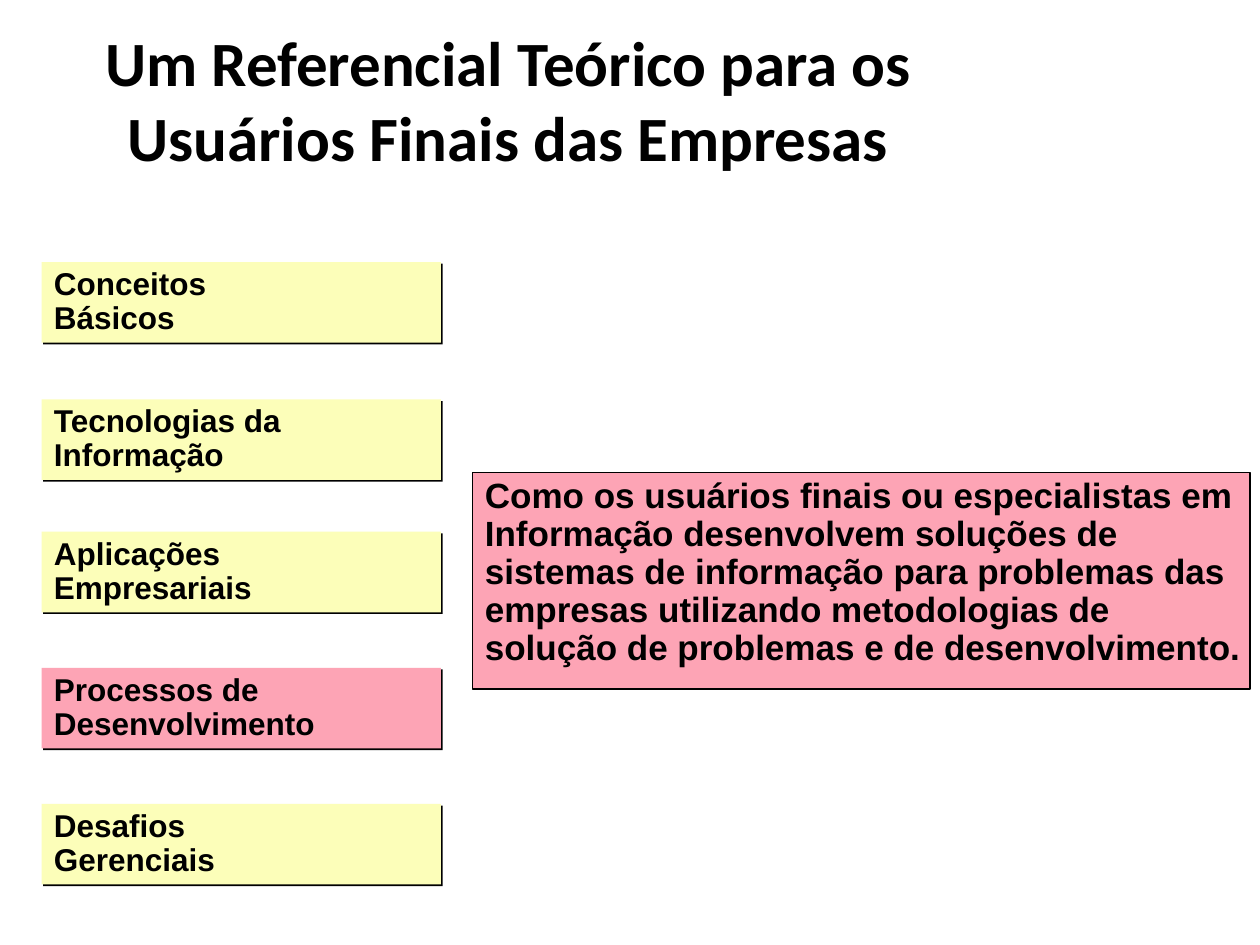
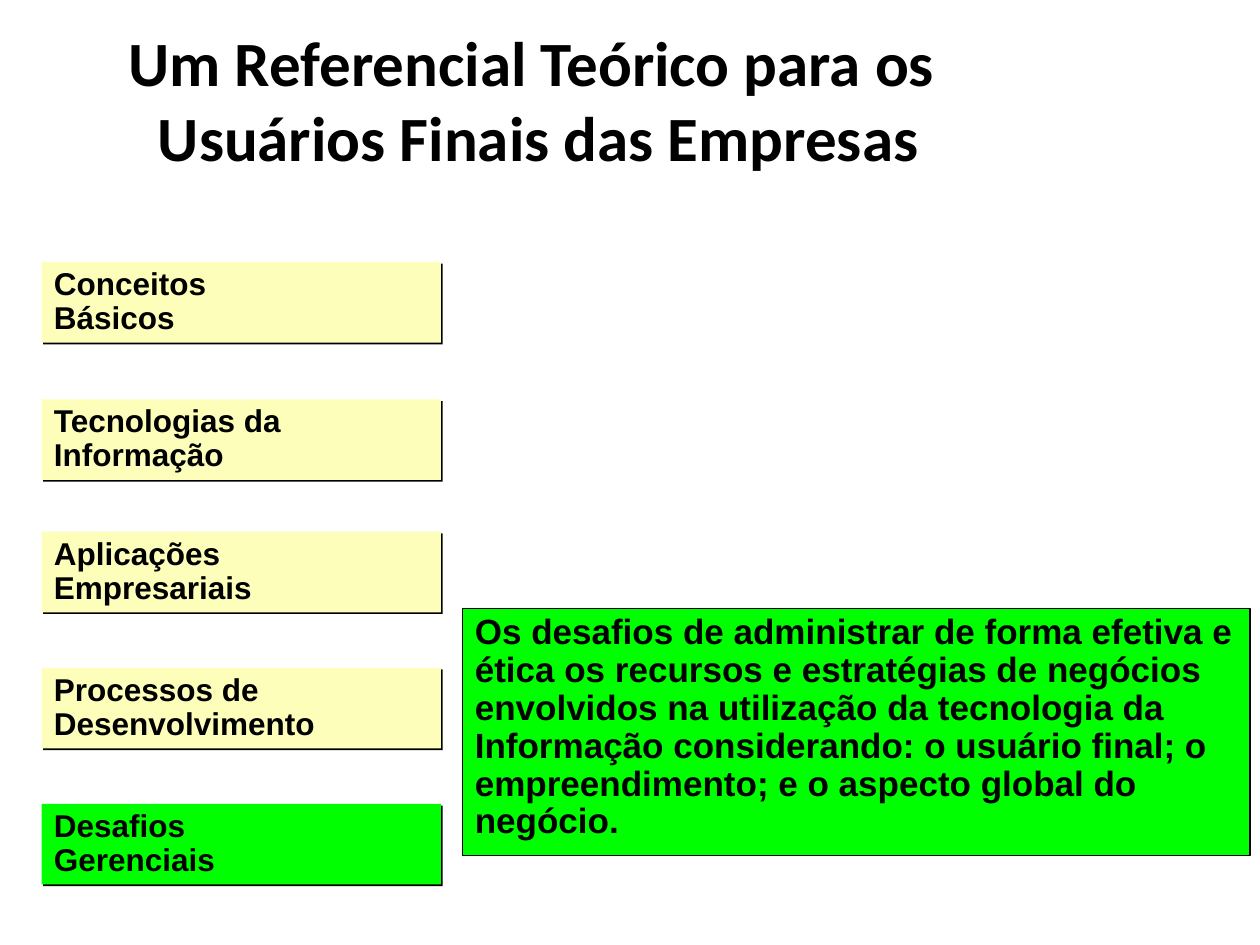
"""Build two slides on a theoretical framework for business end users."""
from lxml.etree import SubElement
from pptx import Presentation
from pptx.dml.color import RGBColor
from pptx.enum.shapes import MSO_SHAPE as Shape
from pptx.enum.text import MSO_ANCHOR as Anchor, MSO_AUTO_SIZE as AutoSize, PP_ALIGN as Align
from pptx.oxml.ns import qn
from pptx.util import Inches, Pt

BLACK = RGBColor(0x00, 0x00, 0x00)
WHITE = RGBColor(0xFF, 0xFF, 0xFF)
YELLOW = RGBColor(0xFC, 0xFE, 0xB9)
PINK = RGBColor(0xFD, 0xA4, 0xB5)
GREEN = RGBColor(0x00, 0xFF, 0x00)

TOPICS = [
    (2.08, ["Conceitos", "Básicos"]),
    (3.17, ["Tecnologias da", "Informação"]),
    (4.22, ["Aplicações", "Empresariais"]),
    (5.3, ["Processos de", "Desenvolvimento"]),
    (6.38, ["Desafios", "Gerenciais"]),
]
TOPIC_LEFT, TOPIC_WIDTH, TOPIC_HEIGHT = 0.33, 3.17, 0.64

PROCESS_LINES = [
    "Como os usuários finais ou especialistas em ",
    "Informação desenvolvem soluções de ",
    "sistemas de informação para problemas das",
    "empresas utilizando metodologias de",
    "solução de problemas e de desenvolvimento.",
]
CHALLENGE_LINES = [
    "Os desafios de administrar de forma efetiva e ",
    "ética os recursos e estratégias de negócios ",
    "envolvidos na utilização da tecnologia da ",
    "Informação considerando: o usuário final; o",
    "empreendimento; e o aspecto global do ",
    "negócio.",
]


def add_bold_run(paragraph, text, font_name, size):
    """Add one bold black run to a paragraph."""
    run = paragraph.add_run()
    run.text = text
    run.font.name = font_name
    run.font.size = Pt(size)
    run.font.bold = True
    run.font.color.rgb = BLACK


def add_title(slide, box, second_line):
    """Place the two-line heading in the title placeholder."""
    title = slide.shapes.title
    title.left, title.top, title.width, title.height = map(Inches, box)
    frame = title.text_frame
    frame.auto_size = AutoSize.NONE
    frame.vertical_anchor = Anchor.MIDDLE
    paragraph = frame.paragraphs[0]
    paragraph.alignment = Align.CENTER
    add_bold_run(paragraph, "Um Referencial Teórico para os ", "Calibri", 36)
    paragraph.add_line_break()
    add_bold_run(paragraph, second_line, "Calibri", 36)


def add_panel(slide, box, fill, lines, size, alignment):
    """Add a filled rectangle with one paragraph per line of text."""
    panel = slide.shapes.add_shape(Shape.RECTANGLE, *map(Inches, box))
    panel.shadow.inherit = False
    panel.fill.solid()
    panel.fill.fore_color.rgb = fill
    frame = panel.text_frame
    frame.vertical_anchor = Anchor.TOP
    for index, line in enumerate(lines):
        paragraph = frame.add_paragraph() if index else frame.paragraphs[0]
        paragraph.alignment = alignment
        paragraph.line_spacing = 0.9
        add_bold_run(paragraph, line, "Arial", size)
    return panel


def add_hard_shadow(shape):
    """Give a shape a sharp black shadow to the lower right."""
    effects = shape._element.spPr.find(qn("a:effectLst"))
    shadow = SubElement(effects, qn("a:outerShdw"), blurRad="0", dist=str(Pt(1.4)),
                        dir=str(45 * 60000), algn="ctr", rotWithShape="0")
    SubElement(shadow, qn("a:srgbClr"), val=str(BLACK))


def add_topics(slide, active, highlight):
    """Stack the topic boxes and highlight the active one."""
    for index, (top, lines) in enumerate(TOPICS):
        fill = highlight if index == active else YELLOW
        box = (TOPIC_LEFT, top, TOPIC_WIDTH, TOPIC_HEIGHT)
        topic = add_panel(slide, box, fill, lines, 18, Align.LEFT)
        topic.line.fill.background()
        topic.text_frame.word_wrap = True
        topic.text_frame.auto_size = AutoSize.SHAPE_TO_FIT_TEXT
        add_hard_shadow(topic)


def add_detail(slide, box, fill, lines):
    """Add the outlined explanation of the active topic."""
    detail = add_panel(slide, box, fill, lines, 20, Align.JUSTIFY)
    detail.line.color.rgb = BLACK
    detail.line.width = Pt(1)
    detail.text_frame.word_wrap = False


def add_topic_slide(presentation, title_width, second_line, active, highlight, detail_box, lines):
    """Add a slide that explains one topic of the framework."""
    slide = presentation.slides.add_slide(presentation.slide_layouts[5])
    slide.background.fill.solid()
    slide.background.fill.fore_color.rgb = WHITE
    add_title(slide, (0.22, 0.16, title_width, 1.25), second_line)
    add_topics(slide, active, highlight)
    add_detail(slide, detail_box, highlight, lines)


def main():
    """Build and save the presentation."""
    presentation = Presentation()
    presentation.slide_width = Inches(10)
    presentation.slide_height = Inches(7.5)
    add_topic_slide(presentation, 7.74, "Usuários Finais das Empresas ", 3, PINK,
                    (3.75, 3.75, 6.17, 1.72), PROCESS_LINES)
    add_topic_slide(presentation, 8.11, "Usuários Finais das Empresas", 4, GREEN,
                    (3.67, 4.83, 6.25, 1.96), CHALLENGE_LINES)
    presentation.save("out.pptx")


if __name__ == "__main__":
    main()
